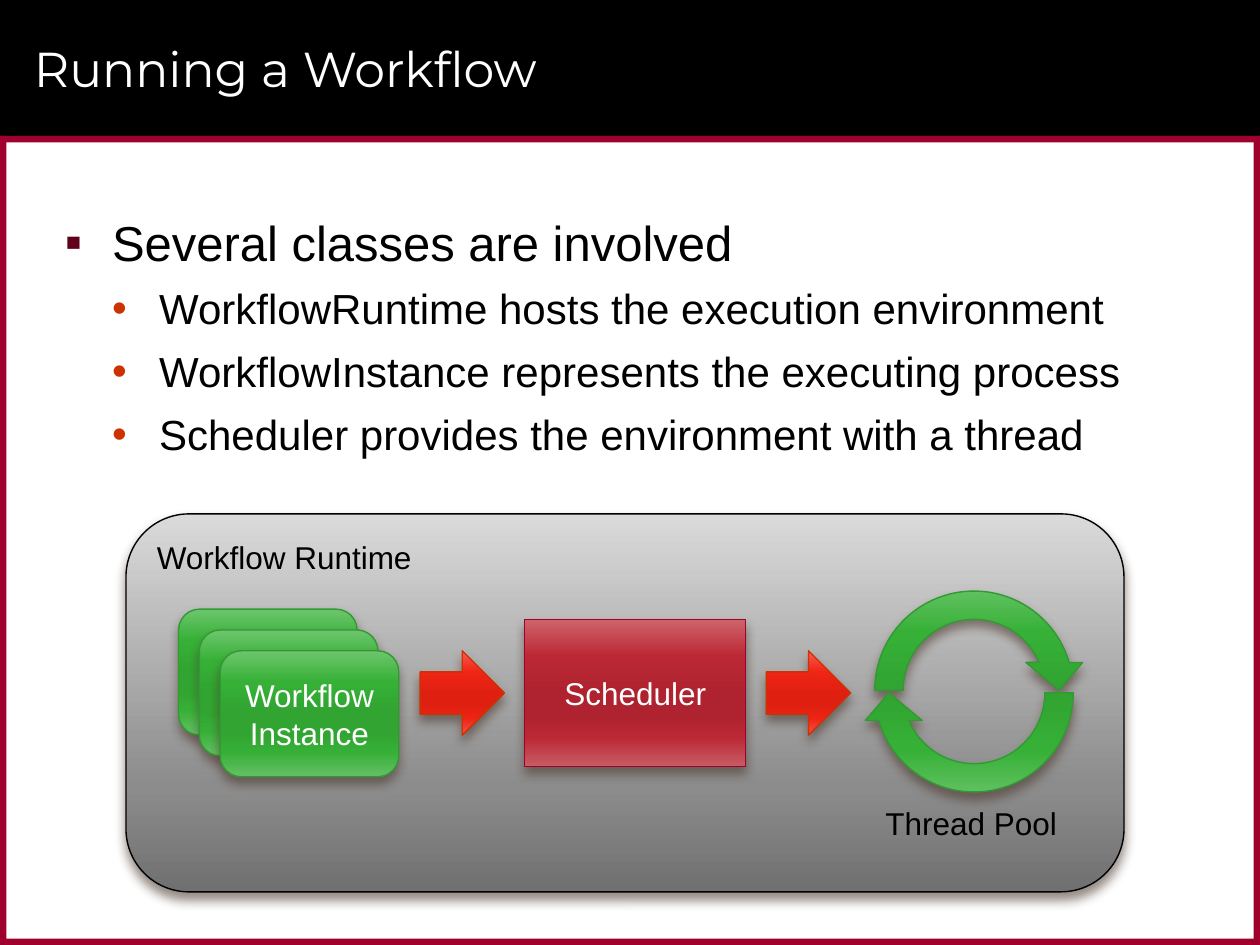
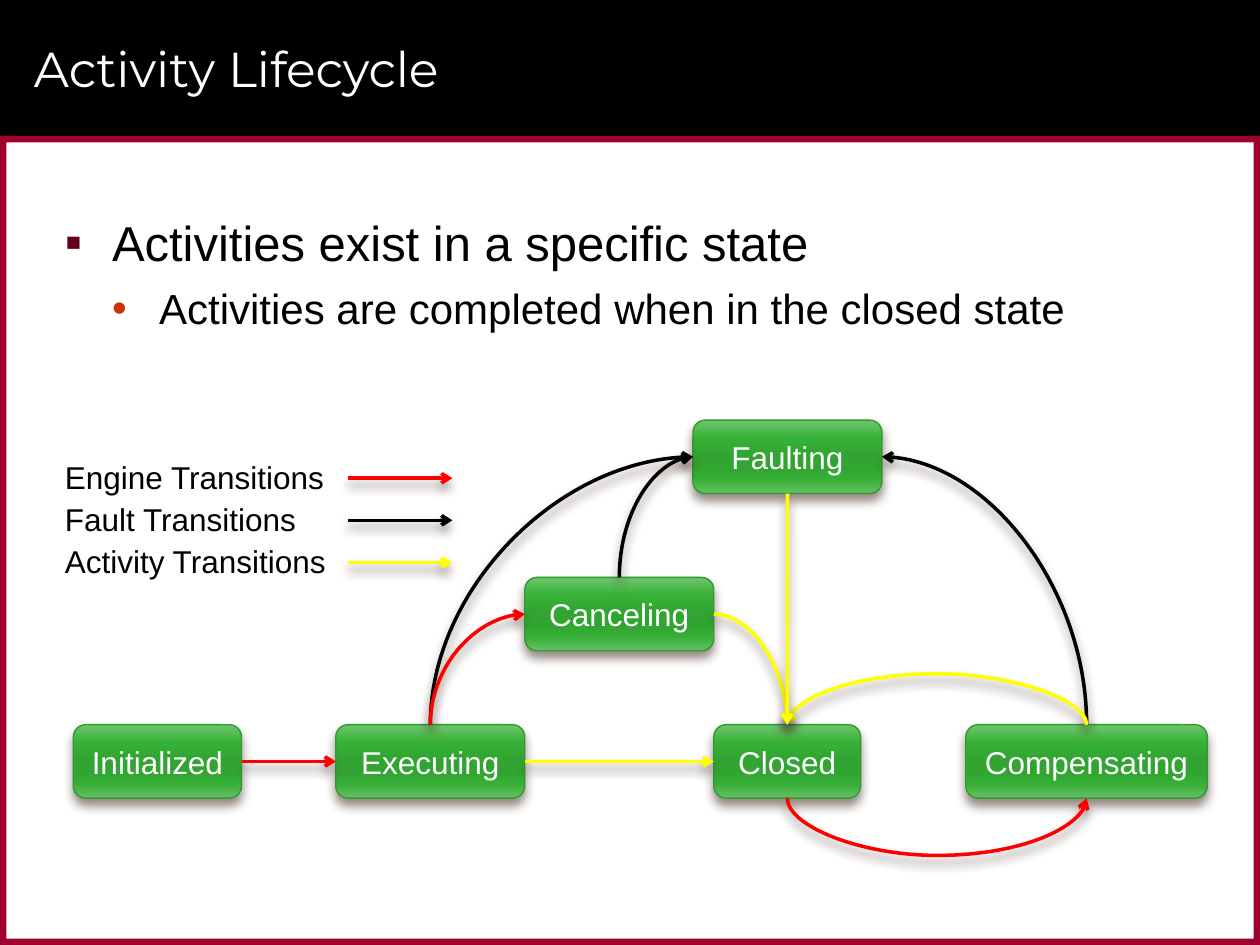
from dataclasses import dataclass
from typing import Any, Optional

from lxml import etree
from pptx import Presentation
from pptx import util as u
from pptx.dml.color import RGBColor
from pptx.enum import shapes, text
from pptx.oxml.ns import qn

# Shared look: colours, gradients (position in %, colour) and text formats
COLORS = {
    "black": "000000", "white": "FFFFFF", "crimson": "9F002D",
    "square": "60001B", "dot": "CC3300", "shadow": "4E3B30",
    "green": "339933", "orange": "CC3300", "red": "FF0000", "yellow": "FFFF00",
}
GLOSS = (0, 25, 50, 65, 80, 100)
GRADIENTS = {
    "gray": list(zip((0, 72, 100), ("DADADA", "8C8C8C", "707070"))),
    "green": list(zip(GLOSS, ("6DC66D", "36B036", "31A431", "31A431", "36AF36", "65C065"))),
    "crimson": list(zip(GLOSS, ("CE646B", "BB2834", "AE232F", "AE232F", "BA2834", "C95B63"))),
    "orange": list(zip(GLOSS, ("FB5C52", "EF2515", "DF2011", "DF2011", "EE2414", "F65349"))),
}
FONTS = {
    "title": {"name": "Montserrat", "size": u.Pt(28), "bold": False},
    "head": {"name": "Arial", "size": u.Pt(28)},
    "sub": {"name": "Arial", "size": u.Pt(24)},
    "label": {"name": "Arial", "size": u.Pt(18)},
}
SPACING = {
    "head": {"space_after": u.Pt(3)},
    "sub": {"level": 1, "space_before": u.Pt(3.6), "space_after": u.Pt(3.6)},
}
# Bullet sign, colour, left margin and hanging indent in cm
BULLETS = {"head": ("▪", "square", 0.95, -0.95), "sub": ("•", "dot", 1.9, -0.95)}

SHAPE = shapes.MSO_SHAPE
TOP, LEFT, BOTTOM, RIGHT = range(4)


@dataclass
class Box:
    """A shape with a glossy fill; lengths in cm."""
    x: float
    y: float
    w: float
    h: float
    label: str = ""
    kind: Any = SHAPE.ROUNDED_RECTANGLE
    look: str = "green"
    line: str = "green"
    turn: int = 0


@dataclass
class Transition:
    """An arrow between two states; loop is the height of a U-shaped curve in cm."""
    start: str
    start_side: int
    end: str
    end_side: int
    color: str
    curved: bool = True
    loop: float = 0


def rgb(name: str) -> RGBColor:
    return RGBColor.from_string(COLORS[name])


def apply(obj: Any, values: dict) -> None:
    for key, value in values.items():
        setattr(obj, key, value)


def cm(*values: float) -> list:
    return [u.Cm(v) for v in values]


def write(p: Any, words: str, style: str, color: str, align: Any = text.PP_ALIGN.LEFT) -> None:
    p.alignment = align
    r = p.add_run()
    r.text = words
    apply(r.font, FONTS[style])
    r.font.color.rgb = rgb(color)


def add_node(parent: Any, tag: str, **attrs: Any) -> Any:
    return etree.SubElement(parent, qn(tag), {k: str(v) for k, v in attrs.items()})


def add_color(parent: Any, value: str) -> Any:
    return add_node(parent, "a:srgbClr", val=value)


def add_shadow(s: Any) -> None:
    """Soft shadow straight below the shape or line."""
    effects = s.element.spPr.find(qn("a:effectLst"))
    if effects is None:
        effects = add_node(s.element.spPr, "a:effectLst")
    outer = add_node(effects, "a:outerShdw", blurRad=u.Pt(6), dist=u.Pt(4),
                     dir=5400000, algn="ctr", rotWithShape=0)
    add_node(add_color(outer, COLORS["shadow"]), "a:alpha", val=60000)


# Text
def add_label(s: Any, x: float, y: float, w: float, words: str,
              align: Any = text.PP_ALIGN.LEFT) -> None:
    tf = s.shapes.add_textbox(*cm(x, y, w, 1.02)).text_frame
    tf.word_wrap = True
    write(tf.paragraphs[0], words, "label", "black", align)


def add_bullets(s: Any, lines: list) -> None:
    """The first line is the heading, the others are its sub-points."""
    tf = s.shapes.add_textbox(*cm(1.06, 4.16, 23.28, 5)).text_frame
    tf.word_wrap = True
    for i, words in enumerate(lines):
        style = "sub" if i else "head"
        p = tf.add_paragraph() if i else tf.paragraphs[0]
        apply(p, SPACING[style])
        sign, color, margin, indent = BULLETS[style]
        pPr = p._p.get_or_add_pPr()
        pPr.set("marL", str(u.Cm(margin)))
        pPr.set("indent", str(u.Cm(indent)))
        add_color(add_node(pPr, "a:buClr"), COLORS[color])
        add_node(pPr, "a:buFont", typeface="Arial")
        add_node(pPr, "a:buChar", char=sign)
        write(p, words, style, "black")


# Shapes and lines
def add_box(s: Any, box: Box) -> Any:
    sp = s.shapes.add_shape(box.kind, *cm(box.x, box.y, box.w, box.h))
    sp.rotation = box.turn
    sp.fill.gradient()
    sp.fill.gradient_angle = 270
    stops = sp.element.spPr.find(".//" + qn("a:gsLst"))
    stops[:] = []
    for pos, value in GRADIENTS[box.look]:
        add_color(add_node(stops, "a:gs", pos=pos * 1000), value)
    apply(sp.line, {"width": u.Pt(0.79)})
    sp.line.color.rgb = rgb(box.line)
    sp.shadow.inherit = False
    add_shadow(sp)
    if box.label:
        framed = box.look == "gray"
        tf = sp.text_frame
        tf.word_wrap = True
        tf.vertical_anchor = text.MSO_ANCHOR.TOP if framed else text.MSO_ANCHOR.MIDDLE
        write(tf.paragraphs[0], box.label, "label", "black" if framed else "white",
              text.PP_ALIGN.LEFT if framed else text.PP_ALIGN.CENTER)
    return sp


def add_arrow(s: Any, color: str, curved: bool = False, ends: Optional[list] = None) -> Any:
    kind = shapes.MSO_CONNECTOR.CURVE if curved else shapes.MSO_CONNECTOR.STRAIGHT
    line = s.shapes.add_connector(kind, *(ends or cm(0, 0, 0, 0)))
    line.line.width = u.Pt(2)
    line.line.color.rgb = rgb(color)
    add_node(line.line._get_or_add_ln(), "a:tailEnd", type="arrow")
    add_shadow(line)
    return line


def route_curve(line: Any, t: Transition) -> None:
    """Give a joined curve its outline, turned when it leaves upwards or downwards."""
    dx, dy = line.end_x - line.begin_x, line.end_y - line.begin_y
    mid_x, mid_y = (line.begin_x + line.end_x) // 2, (line.begin_y + line.end_y) // 2
    geom = line.element.spPr.find(qn("a:prstGeom"))
    thin = u.Cm(0.01)
    if t.loop:
        guide = round(u.Cm(t.loop) / thin * 100000)
        add_node(geom.find(qn("a:avLst")), "a:gd", name="adj1", fmla=f"val {guide}")
    else:
        geom.set("prst", "curvedConnector2")
    if t.start_side in (TOP, BOTTOM):
        w, h = abs(dy) or thin, abs(dx)
        apply(line, {"left": mid_x - w // 2, "top": mid_y - h // 2,
                     "width": w, "height": h, "rotation": 270})
        apply(line.element.spPr.xfrm, {"flipH": t.start_side == BOTTOM, "flipV": dx < 0})


def add_transition(s: Any, states: dict, t: Transition) -> None:
    line = add_arrow(s, t.color, t.curved)
    line.begin_connect(states[t.start], t.start_side)
    line.end_connect(states[t.end], t.end_side)
    if t.curved:
        route_curve(line, t)


# Frame and title
def add_frame(s: Any, layout: Any) -> None:
    """Draw the title band and border once and move them to the layout."""
    bands = [("black", 0, 0, 25.4, 2.74)]
    bands += [("crimson", 0, y, 25.4, 0.13) for y in (2.74, 18.92)]
    bands += [("crimson", x, 2.74, 0.13, 16.31) for x in (0, 25.27)]
    for i, (color, *place) in enumerate(bands):
        sp = s.shapes.add_shape(SHAPE.RECTANGLE, *cm(*place))
        sp.fill.solid()
        sp.fill.fore_color.rgb = rgb(color)
        sp.line.fill.background()
        sp.shadow.inherit = False
        layout.shapes.element.insert(2 + i, sp.element)


def add_slide(prs: Any, title: str, bullets: list) -> Any:
    s = prs.slides.add_slide(prs.slide_layouts[5])
    apply(s.shapes.title, dict(zip(("left", "top", "width", "height"),
                                   cm(0.43, 0.2, 23.28, 2.34))))
    tf = s.shapes.title.text_frame
    apply(tf, {"vertical_anchor": text.MSO_ANCHOR.MIDDLE, "auto_size": text.MSO_AUTO_SIZE.NONE})
    write(tf.paragraphs[0], title, "title", "white")
    add_bullets(s, bullets)
    return s


def build_runtime(prs: Any) -> Any:
    s = add_slide(prs, "Running a Workflow", [
        "Several classes are involved",
        "WorkflowRuntime hosts the execution environment",
        "WorkflowInstance represents the executing process",
        "Scheduler provides the environment with a thread",
    ])
    runtime = Box(2.54, 10.36, 20.12, 7.62, "Workflow Runtime", look="gray", line="black")
    instances = [Box(3.6 + 0.42 * i, 12.28 + 0.42 * i, 3.6, 2.54, label)
                 for i, label in enumerate(("", "", "Workflow Instance"))]
    pool = [Box(17.35, y, 4.57, 4.57, kind=SHAPE.CIRCULAR_ARROW, turn=turn)
            for y, turn in ((11.63, 0), (11.68, 180))]
    scheduler = Box(10.58, 12.49, 4.45, 2.96, "Scheduler", SHAPE.RECTANGLE, "crimson", "crimson")
    steps = [Box(x, 13.12, 1.7, 1.7, "", SHAPE.RIGHT_ARROW, "orange", "orange")
             for x in (15.45, 8.47)]
    for box in [runtime, *instances, *pool, scheduler, *steps]:
        add_box(s, box)
    add_label(s, 17.57, 16.08, 4.02, "Thread Pool", text.PP_ALIGN.CENTER)
    return s


def build_lifecycle(prs: Any) -> None:
    s = add_slide(prs, "Activity Lifecycle", [
        "Activities exist in a specific state",
        "Activities are completed when in the closed state",
    ])
    # States
    places = {
        "Initialized": (1.48, 14.61, 3.39), "Executing": (6.77, 14.61, 3.81),
        "Canceling": (10.58, 11.64, 3.81), "Faulting": (13.97, 8.47, 3.81),
        "Compensating": (19.47, 14.61, 4.87), "Closed": (14.39, 14.61, 2.96),
    }
    states = {name: add_box(s, Box(x, y, w, 1.48, name)) for name, (x, y, w) in places.items()}
    # Transitions
    for t in (
        Transition("Initialized", RIGHT, "Executing", LEFT, "red", False),
        Transition("Executing", RIGHT, "Closed", LEFT, "yellow", False),
        Transition("Executing", TOP, "Faulting", LEFT, "black"),
        Transition("Executing", TOP, "Canceling", LEFT, "red"),
        Transition("Canceling", TOP, "Faulting", LEFT, "black"),
        Transition("Compensating", TOP, "Faulting", RIGHT, "black"),
        Transition("Closed", BOTTOM, "Compensating", BOTTOM, "red", loop=1.16),
        Transition("Compensating", TOP, "Closed", TOP, "yellow", loop=1.03),
        Transition("Canceling", RIGHT, "Closed", TOP, "yellow"),
        Transition("Faulting", BOTTOM, "Closed", TOP, "yellow", False),
    ):
        add_transition(s, states, t)
    # Legend
    for i, (name, color) in enumerate((("Engine", "red"), ("Fault", "black"),
                                       ("Activity", "yellow"))):
        y = 9.1 + 0.85 * i
        add_label(s, 1.06, y, 5.8, f"{name} Transitions")
        add_arrow(s, color, ends=cm(7.01, y + 0.54, 9.12, y + 0.54))


def main() -> None:
    prs = Presentation()
    prs.slide_width, prs.slide_height = cm(25.4, 19.05)
    add_frame(build_runtime(prs), prs.slide_layouts[5])
    build_lifecycle(prs)
    prs.save("out.pptx")


if __name__ == "__main__":
    main()
